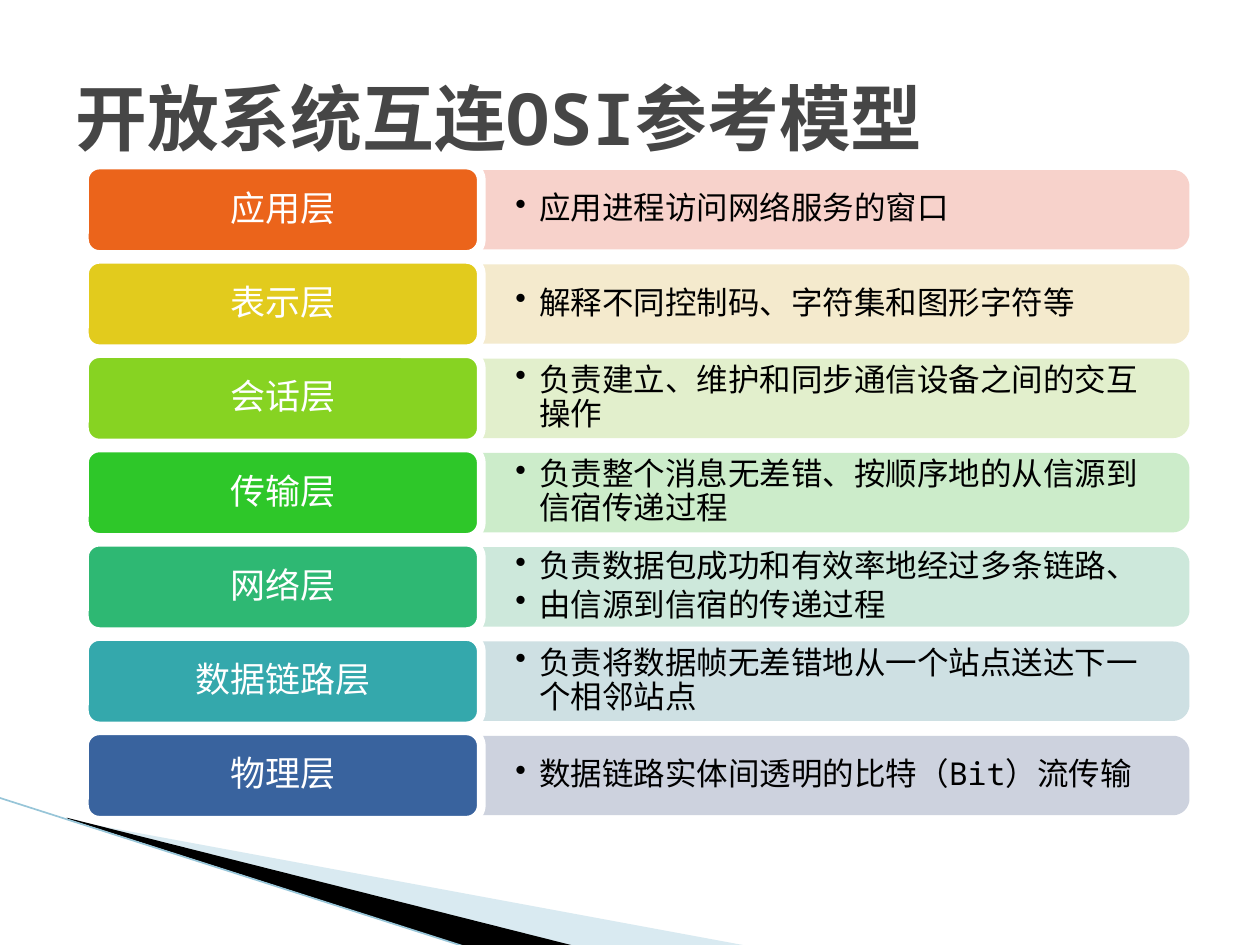
from dataclasses import dataclass
from math import cos, pi, sin

from lxml import etree
from pptx import Presentation
from pptx.dml.color import RGBColor
from pptx.enum.shapes import MSO_CONNECTOR, MSO_SHAPE
from pptx.enum.text import MSO_ANCHOR, PP_ALIGN
from pptx.oxml.ns import qn
from pptx.util import Inches, Pt

STRAIGHT = MSO_CONNECTOR.STRAIGHT
ROUNDED = MSO_SHAPE.ROUNDED_RECTANGLE
MIDDLE = MSO_ANCHOR.MIDDLE
CENTER, LEFT = PP_ALIGN.CENTER, PP_ALIGN.LEFT


@dataclass(frozen=True)
class Theme:
    """Colours, fonts and type sizes of the deck."""
    sans: str = "Noto Sans CJK SC"
    mono: str = "Noto Sans Mono"
    title: str = "464646"
    dark: str = "000000"
    light: str = "FFFFFF"
    wedge: str = "A0CBDC"
    edge: str = "97C5D8"
    title_size: int = 41
    label_size: int = 20
    detail_size: int = 18


THEME = Theme()
LAYERS = [
    ("应用层", "EB641B", "F7D2CB", [["应用进程访问网络服务的窗口"]]),
    ("表示层", "E2CB1D", "F4EACD", [["解释不同控制码、字符集和图形字符等"]]),
    ("会话层", "87D322", "E2EFCC", [["负责建立、维护和同步通信设备之间的交互操作"]]),
    ("传输层", "2EC729", "CCECCA", [["负责整个消息无差错、按顺序地的从信源到信宿传递过程"]]),
    ("网络层", "2EB873", "CDE8DB",
     [["负责数据包成功和有效率地经过多条链路、"], ["由信源到信宿的传递过程"]]),
    ("数据链路层", "34A8AC", "CEE0E3", [["负责将数据帧无差错地从一个站点送达下一个相邻站点"]]),
    ("物理层", "39639E", "CDD2DE", [["数据链路实体间透明的比特（", "Bit", "）流传输"]]),
]


def apply(target, values):
    """Set each named attribute of the target."""
    for name, value in values.items():
        setattr(target, name, value)


def paint(shape, fill, line=None, width=0):
    """Give a shape a flat fill and an optional outline."""
    shape.shadow.inherit = False
    shape.fill.solid()
    shape.fill.fore_color.rgb = RGBColor.from_string(fill)
    if line:
        shape.line.color.rgb = RGBColor.from_string(line)
        shape.line.width = Pt(width)
    else:
        shape.line.fill.background()


def set_frame(shape, side, end):
    """Wrap and centre the text of a shape inside equal insets."""
    apply(shape.text_frame, {
        "word_wrap": True, "vertical_anchor": MIDDLE,
        "margin_left": Inches(side), "margin_right": Inches(side),
        "margin_top": Inches(end), "margin_bottom": Inches(end)})
    return shape.text_frame


def add_span(para, text, font, size, color, bold=False):
    """Append a run with its Latin and East Asian fonts."""
    span = para.add_run()
    span.text = text
    apply(span.font, {"name": font, "size": Pt(size), "bold": bold})
    span.font.color.rgb = RGBColor.from_string(color)
    east = etree.SubElement(span.font._element, qn("a:ea"))
    east.set("typeface", THEME.sans)


def add_bullet(para):
    """Give a paragraph a hanging round bullet."""
    props = para._p.get_or_add_pPr()
    props.set("marL", str(Inches(0.19)))
    props.set("indent", str(-Inches(0.19)))
    etree.SubElement(props, qn("a:buChar")).set("char", "•")


def add_polygon(page, points, fill, line=None, width=0):
    """Draw a filled outline through points given in inches."""
    corners = [(Inches(x), Inches(y)) for x, y in points]
    builder = page.shapes.build_freeform(*corners[0])
    builder.add_line_segments(corners[1:], close=True)
    shape = builder.convert_to_shape()
    paint(shape, fill, line, width)
    return shape


def add_backdrop(page, left, top):
    """Place the slanted wedges and their edge line from a corner."""
    pale = add_polygon(page, [(left + x, top + y) for x, y in (
        (0.55, 0.18), (5.95, 1.18), (4.56, 1.18), (0.55, 0.17))], THEME.wedge)
    color = pale.fill._xPr.find(".//" + qn("a:srgbClr"))
    etree.SubElement(color, qn("a:alpha")).set("val", "40000")
    add_polygon(page, [(left + x, top + y) for x, y in (
        (0.53, 0.16), (4.57, 1.18), (3.72, 1.19), (0.54, 0.17))], THEME.dark)
    edge = page.shapes.add_connector(
        STRAIGHT, Inches(left - 0.01), Inches(top),
        Inches(left + 3.71), Inches(top + 1.19))
    edge.line.color.rgb = RGBColor.from_string(THEME.edge)
    edge.line.width = Pt(0.95)
    etree.SubElement(edge._element.spPr, qn("a:effectLst"))


def add_title(page, left, top, width, height):
    """Place the slide title."""
    box = page.shapes.add_textbox(*map(Inches, (left, top, width, height)))
    para = set_frame(box, 0.1, 0.05).paragraphs[0]
    add_span(para, "开放系统互连OSI参考模型", THEME.mono,
             THEME.title_size, THEME.title, True)


def add_detail(page, left, top, width, height, fill, lines):
    """Place a bulleted panel with rounded right corners."""
    right, bottom, radius = left + width, top + height, 0.1
    turns = [step * pi / 16 for step in range(9)]
    upper = [(right - radius + radius * sin(turn),
              top + radius - radius * cos(turn)) for turn in turns]
    lower = [(x, top + bottom - y) for x, y in reversed(upper)]
    panel = add_polygon(page, [(left, top), *upper, *lower, (left, bottom)],
                        fill, fill, 4.33)
    frame = set_frame(panel, 0.27, 0.16)
    frame.margin_right = Inches(0.3)
    for index, spans in enumerate(lines):
        para = frame.add_paragraph() if index else frame.paragraphs[0]
        apply(para, {"level": 1, "alignment": LEFT,
                     "line_spacing": 0.9, "space_after": Pt(2.7)})
        add_bullet(para)
        for text in spans:
            font = THEME.mono if text.isascii() else THEME.sans
            add_span(para, text, font, THEME.detail_size, THEME.dark)


def add_label(page, left, top, width, height, fill, name):
    """Place the rounded name tag of a layer."""
    tag = page.shapes.add_shape(
        ROUNDED, *map(Inches, (left, top, width, height)))
    paint(tag, fill, THEME.light, 5)
    para = set_frame(tag, 0.08, 0.05).paragraphs[0]
    apply(para, {"alignment": CENTER, "line_spacing": 0.9,
                 "space_after": Pt(7)})
    add_span(para, name, THEME.sans, THEME.label_size, THEME.light)


def add_layers(page, left, top, width, height):
    """Stack the layer rows evenly inside a box."""
    label_width, label_height, detail_height = 3.15, 0.71, 0.57
    pitch = (height - label_height) / (len(LAYERS) - 1)
    inset = (label_height - detail_height) / 2
    for index, (name, fill, tint, lines) in enumerate(LAYERS):
        row = top + index * pitch
        add_detail(page, left + label_width, row + inset,
                   width - label_width, detail_height, tint, lines)
        add_label(page, left, row, label_width, label_height, fill, name)


def main():
    """Build and save the deck."""
    deck = Presentation()
    apply(deck, {"slide_width": Inches(10), "slide_height": Inches(7.5)})
    page = deck.slides.add_slide(deck.slide_layouts[6])
    add_backdrop(page, 0, 6.33)
    add_title(page, 0.5, 0.3, 9, 1.25)
    add_layers(page, 0.67, 1.31, 8.74, 5.2)
    deck.save("out.pptx")


if __name__ == "__main__":
    main()
